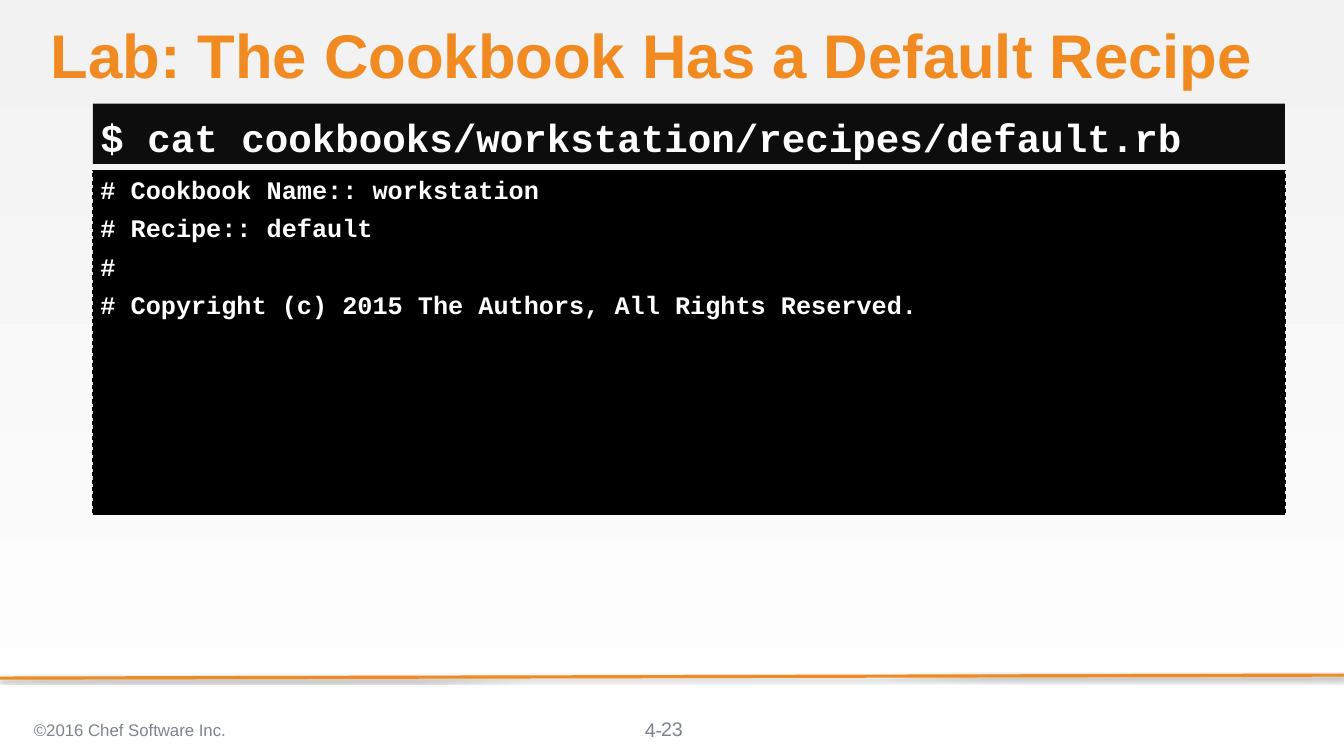
from dataclasses import dataclass

from lxml import etree
from pptx import Presentation
from pptx.dml.color import RGBColor
from pptx.enum.dml import MSO_LINE
from pptx.enum.shapes import MSO_CONNECTOR, MSO_SHAPE
from pptx.enum.text import MSO_ANCHOR, PP_ALIGN
from pptx.oxml.ns import qn
from pptx.util import Inches, Pt

TOP, MIDDLE = MSO_ANCHOR.TOP, MSO_ANCHOR.MIDDLE
LEFT, CENTER = PP_ALIGN.LEFT, PP_ALIGN.CENTER
RECTANGLE, STRAIGHT, DASH = MSO_SHAPE.RECTANGLE, MSO_CONNECTOR.STRAIGHT, MSO_LINE.DASH

TITLE = "Lab: The Cookbook Has a Default Recipe"
COMMAND = "$ cat cookbooks/workstation/recipes/default.rb"
OUTPUT = [
    "# Cookbook Name:: workstation",
    "# Recipe:: default",
    "#",
    "# Copyright (c) 2015 The Authors, All Rights Reserved.",
]
COPYRIGHT = "©2016 Chef Software Inc."
CHAPTER, PAGE = "4-", "23"

WIDTH, HEIGHT = 17.78, 10
TERMINAL_LEFT, TERMINAL_WIDTH = 1.23, 15.77
COMMAND_TOP, COMMAND_HEIGHT, GAP, OUTPUT_HEIGHT = 1.37, 0.8, 0.08, 4.56
FOOTER_TOP, PAGE_WIDTH = 9.38, 4
PADDING = (0.1, 0.05, 0.1, 0.05)


@dataclass(frozen=True)
class Theme:
    """Colours, fonts and type sizes of the slide."""

    accent: str = "F18B21"
    muted: str = "7D868C"
    light: str = "FFFFFF"
    backdrop: str = "F2F2F2"
    command_fill: str = "0D0D0D"
    output_fill: str = "000000"
    sans: str = "Arial"
    mono: str = "Courier New"
    title: float = 58.7
    command: float = 37.3
    output: float = 24
    number: float = 18.7
    copyright: float = 16


THEME = Theme()


def rgb(value):
    """Turn a hex string into a colour."""
    return RGBColor.from_string(value)


def write(shape, lines, size, color, font=THEME.sans, bold=False, align=LEFT,
          anchor=MIDDLE, insets=PADDING, space=0):
    """Fill a shape with equally formatted lines."""
    frame = shape.text_frame
    frame.word_wrap = True
    frame.vertical_anchor = anchor
    frame.margin_left, frame.margin_top, frame.margin_right, frame.margin_bottom = map(Inches, insets)
    frame.text = "\n".join(lines)
    for index, paragraph in enumerate(frame.paragraphs):
        paragraph.alignment = align
        paragraph.space_before = Pt(space if index else 0)
        for run in paragraph.runs:
            run.font.name, run.font.size, run.font.bold = font, Pt(size), bold
            run.font.color.rgb = rgb(color)


def add_panel(slide, top, height, fill):
    """Add one dark terminal panel."""
    panel = slide.shapes.add_shape(
        RECTANGLE, *map(Inches, (TERMINAL_LEFT, top, TERMINAL_WIDTH, height)))
    panel.shadow.inherit = False
    panel.fill.solid()
    panel.fill.fore_color.rgb = rgb(fill)
    panel.line.fill.background()
    return panel


def add_footer_rule(slide):
    """Add the slightly tilted footer line with its soft shadow."""
    rule = slide.shapes.add_connector(
        STRAIGHT, *map(Inches, (WIDTH, 8.93, 0, 8.97)))
    rule.line.color.rgb = rgb(THEME.accent)
    rule.line.width = Pt(3)
    effects = etree.SubElement(rule._element.spPr, qn("a:effectLst"))
    shadow = etree.SubElement(effects, qn("a:outerShdw"), blurRad=str(Pt(3.1)),
                              dist=str(Pt(1.8)), dir="5400000", rotWithShape="0")
    tint = etree.SubElement(shadow, qn("a:srgbClr"), val="000000")
    etree.SubElement(tint, qn("a:alpha"), val="35000")


def main():
    """Build and save the slide."""
    deck = Presentation()
    deck.slide_width, deck.slide_height = Inches(WIDTH), Inches(HEIGHT)
    slide = deck.slides.add_slide(deck.slide_layouts[5])

    backdrop = slide.background.fill
    backdrop.gradient()
    backdrop.gradient_angle = 270
    for stop, color, position in zip(backdrop.gradient_stops, (THEME.backdrop, THEME.light), (0, 1)):
        stop.color.rgb, stop.position = rgb(color), position

    add_footer_rule(slide)

    title = slide.shapes.title
    title.left, title.top, title.width, title.height = map(Inches, (0.67, 0.33, 16.33, 0.91))
    write(title, [TITLE], THEME.title, THEME.accent, bold=True, anchor=TOP, insets=(0, 0, 0, 0))
    title.text_frame.paragraphs[0].line_spacing = 0.9

    output_top = COMMAND_TOP + COMMAND_HEIGHT + GAP
    output = add_panel(slide, output_top, OUTPUT_HEIGHT, THEME.output_fill)
    output.line.color.rgb = rgb(THEME.output_fill)
    output.line.width, output.line.dash_style = Pt(1), DASH
    write(output, OUTPUT, THEME.output, THEME.light, THEME.mono, True, anchor=TOP, space=8)

    command = add_panel(slide, COMMAND_TOP, COMMAND_HEIGHT, THEME.command_fill)
    write(command, [COMMAND], THEME.command, THEME.light, THEME.mono, True, insets=(0.1, 0.08, 0, 0))

    page_left = (WIDTH - PAGE_WIDTH) / 2
    footers = [
        (COPYRIGHT, (0.35, FOOTER_TOP, 6.21, 0.56), THEME.copyright, LEFT, MIDDLE, PADDING),
        (CHAPTER, (8.49, 9.49, 0.8, 0.31), THEME.number, LEFT, TOP, (0.04, 0, 0, 0)),
        (PAGE, (page_left, FOOTER_TOP, PAGE_WIDTH, 0.53), THEME.number, CENTER, MIDDLE, PADDING),
    ]
    for text, box, size, align, anchor, insets in footers:
        footer = slide.shapes.add_textbox(*map(Inches, box))
        write(footer, [text], size, THEME.muted, align=align, anchor=anchor, insets=insets)

    deck.save("out.pptx")


if __name__ == "__main__":
    main()
